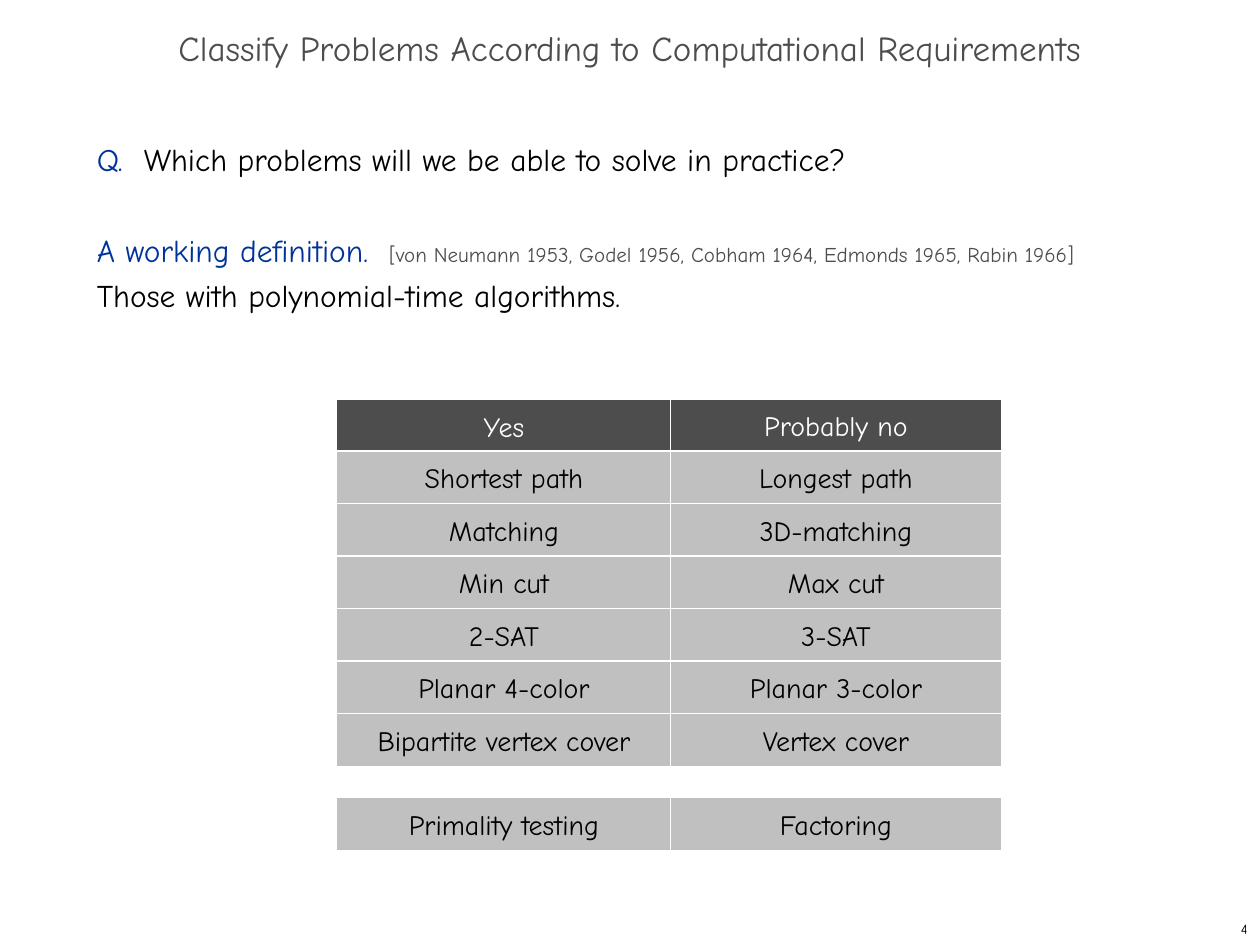
import pptx
import pptx.dml.color
import pptx.enum.shapes
import pptx.enum.text
import pptx.util

Inches = pptx.util.Inches
Pt = pptx.util.Pt
RGBColor = pptx.dml.color.RGBColor
PP_ALIGN = pptx.enum.text.PP_ALIGN
MIDDLE = pptx.enum.text.MSO_ANCHOR.MIDDLE
RECTANGLE = pptx.enum.shapes.MSO_SHAPE.RECTANGLE

FONT = "Comic Neue"
BLACK = RGBColor(0x00, 0x00, 0x00)
WHITE = RGBColor(0xFF, 0xFF, 0xFF)
BLUE = RGBColor(0x00, 0x33, 0x99)
DARK_GRAY = RGBColor(0x4D, 0x4D, 0x4D)
LIGHT_GRAY = RGBColor(0xC0, 0xC0, 0xC0)

COLUMNS = ((2.67, 2.66), (5.32, 2.63))
HEADINGS = (("Yes", 0.43), ("Probably no", 0.41))
HEADING_TOP = 3.17
FIRST_ROW_TOP = 3.58
ROW_PITCH = 2.5 / 6
ROW_HEIGHT = 0.42
OPEN_CASE_TOP = 6.33

PROBLEM_PAIRS = [
    ("Shortest path", "Longest path"),
    ("Matching", "3D-matching"),
    ("Min cut", "Max cut"),
    ("2-SAT", "3-SAT"),
    ("Planar 4-color", "Planar 3-color"),
    ("Bipartite vertex cover", "Vertex cover"),
]
OPEN_CASE = ("Primality testing", "Factoring")

QUESTION = [
    ("Q.  ", 18, BLUE),
    ("Which problems will we be able to solve in practice?", 18, BLACK),
]
DEFINITION = [
    ("A working definition.  ", 18, BLUE),
    ("[von Neumann 1953, Godel 1956, Cobham 1964, Edmonds 1965, Rabin 1966] ",
     12, DARK_GRAY),
]
ANSWER = [("Those with polynomial-time algorithms.", 18, BLACK)]


def format_run(run, size, color):
    run.font.name = FONT
    run.font.size = Pt(size)
    run.font.color.rgb = color


def set_line(frame, text, size, color, alignment):
    frame.text = text
    frame.vertical_anchor = MIDDLE
    paragraph = frame.paragraphs[0]
    paragraph.alignment = alignment
    format_run(paragraph.runs[0], size, color)
    return paragraph


def set_title(slide, text):
    title = slide.shapes.title
    title.left, title.top = Inches(0), Inches(0.17)
    title.width, title.height = Inches(10), Inches(0.5)
    heading = set_line(title.text_frame, text, 20, DARK_GRAY, PP_ALIGN.CENTER)
    heading.line_spacing = 0.7


def add_parts(paragraph, parts):
    paragraph.line_spacing = Pt(26)
    for text, size, color in parts:
        run = paragraph.add_run()
        run.text = text
        format_run(run, size, color)


def add_statements(slide):
    body = slide.shapes.add_textbox(Inches(0.67), Inches(1), Inches(8.58), Inches(5.92))
    frame = body.text_frame
    frame.word_wrap = True
    add_parts(frame.paragraphs[0], QUESTION)
    definition = frame.add_paragraph()
    definition.space_before = Pt(26)
    add_parts(definition, DEFINITION)
    definition.add_line_break()
    add_parts(definition, ANSWER)


def add_cell(slide, column, top, height, text, fill_color, text_color):
    left, width = column
    cell = slide.shapes.add_shape(
        RECTANGLE, Inches(left), Inches(top), Inches(width), Inches(height))
    cell.shadow.inherit = False
    cell.fill.solid()
    cell.fill.fore_color.rgb = fill_color
    cell.line.color.rgb = WHITE
    cell.line.width = Pt(0.75)
    cell.text_frame.word_wrap = False
    set_line(cell.text_frame, text, 16, text_color, PP_ALIGN.CENTER)


def add_headings(slide):
    for column, (heading, height) in zip(COLUMNS, HEADINGS):
        add_cell(slide, column, HEADING_TOP, height, heading, DARK_GRAY, WHITE)


def add_problem_pair(slide, top, problems):
    for column, problem in zip(COLUMNS, problems):
        add_cell(slide, column, top, ROW_HEIGHT, problem, LIGHT_GRAY, BLACK)


def add_page_number(slide, number):
    page = slide.shapes.add_textbox(Inches(7.92), Inches(7.25), Inches(2.08), Inches(0.25))
    page.text_frame.word_wrap = True
    set_line(page.text_frame, number, 8, BLACK, PP_ALIGN.RIGHT)


def main():
    presentation = pptx.Presentation()
    presentation.slide_width = Inches(10)
    presentation.slide_height = Inches(7.5)
    slide = presentation.slides.add_slide(presentation.slide_layouts[5])
    set_title(slide, "Classify Problems According to Computational Requirements")
    add_statements(slide)
    add_headings(slide)
    for index, problems in enumerate(PROBLEM_PAIRS):
        add_problem_pair(slide, FIRST_ROW_TOP + index * ROW_PITCH, problems)
    add_problem_pair(slide, OPEN_CASE_TOP, OPEN_CASE)
    add_page_number(slide, "4")
    presentation.save("out.pptx")


if __name__ == "__main__":
    main()
